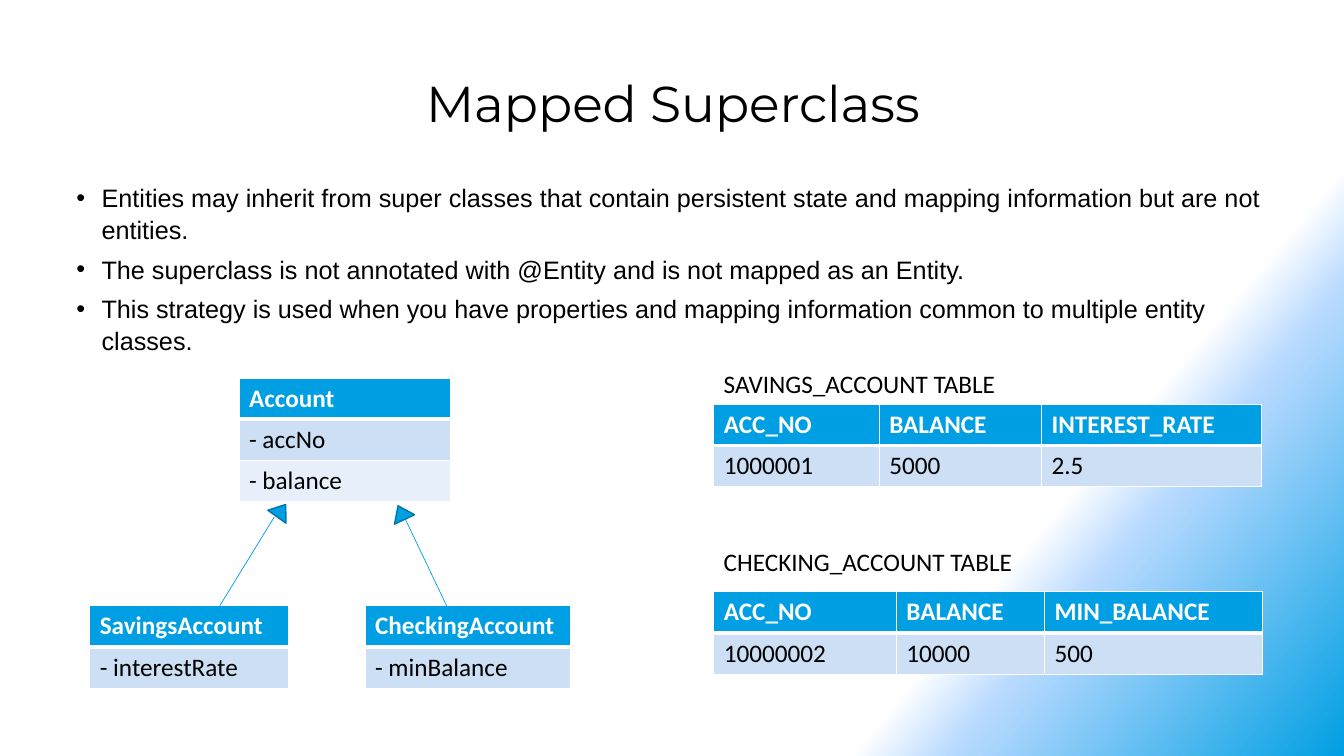
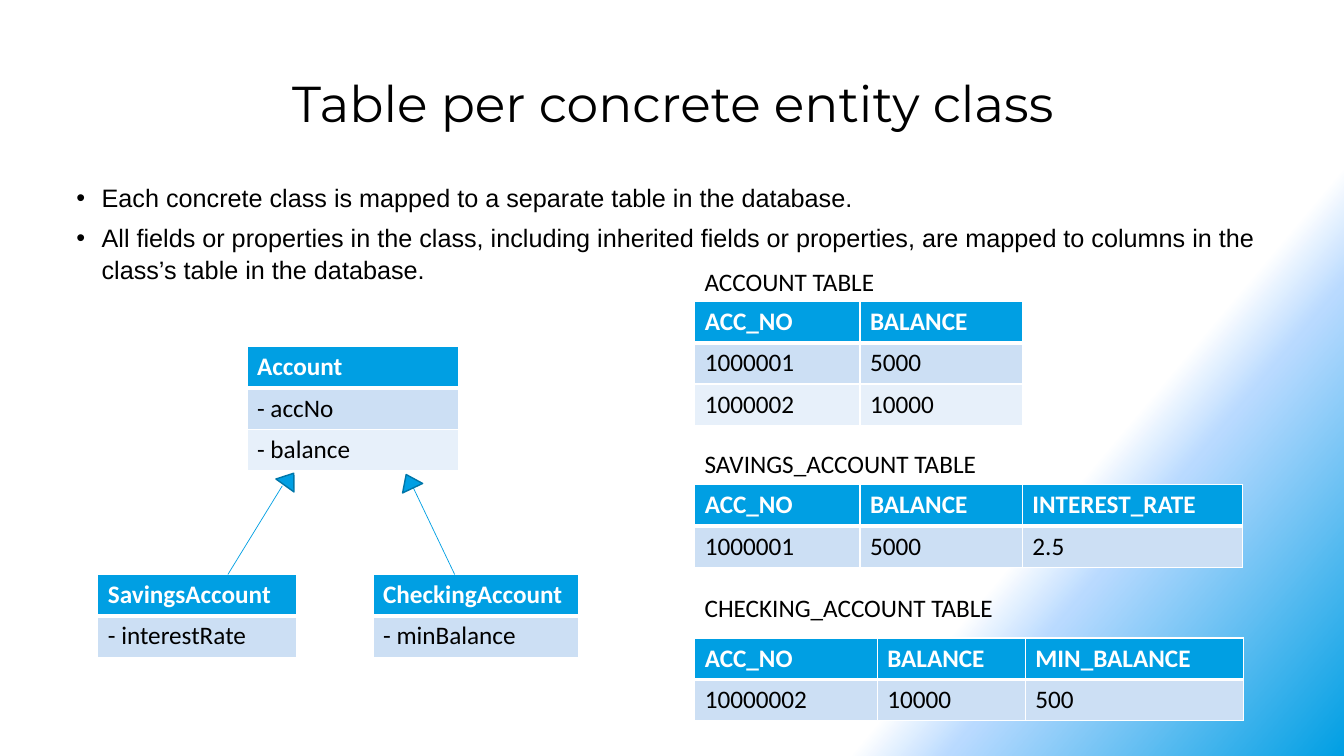
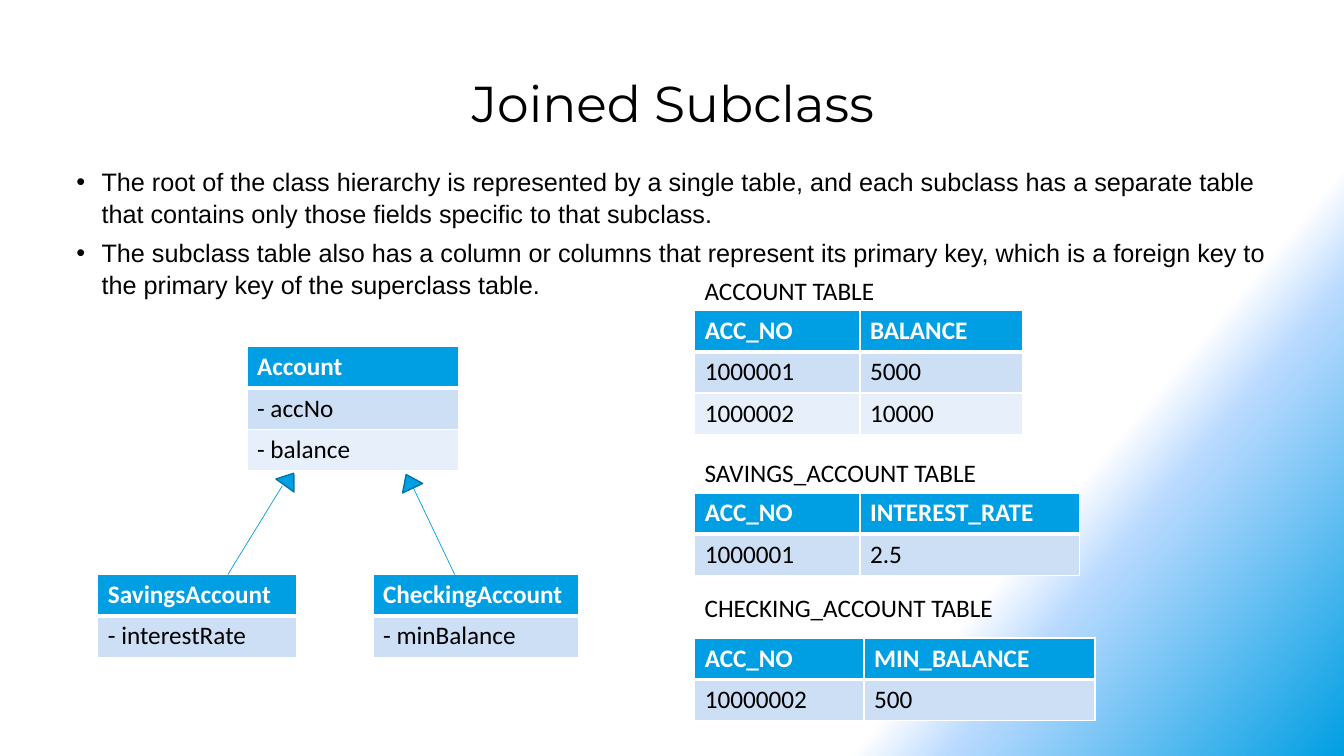
"""Builds three slides on entity inheritance mapping strategies."""
from lxml import etree
from pptx import Presentation
from pptx.dml.color import RGBColor
from pptx.enum.shapes import MSO_CONNECTOR, MSO_SHAPE
from pptx.enum.text import MSO_ANCHOR, MSO_AUTO_SIZE, PP_ALIGN
from pptx.oxml.ns import qn
from pptx.util import Inches, Pt

STRAIGHT, TRIANGLE = MSO_CONNECTOR.STRAIGHT, MSO_SHAPE.ISOSCELES_TRIANGLE
TOP, CENTER = MSO_ANCHOR.TOP, PP_ALIGN.CENTER
NO_FIT, GROW = MSO_AUTO_SIZE.NONE, MSO_AUTO_SIZE.SHAPE_TO_FIT_TEXT

COLORS = {
    "white": "FFFFFF", "black": "000000", "accent": "009FE3",
    "outline": "0076A8", "glow": "B9DAFF", "band": "CCDFF4", "pale": "E7F0FA",
}
BACKGROUND_STOPS = [(75, "white", 100), (80, "glow", 50), (100, "accent", 100)]
BACKGROUND_ANGLE = 40
ROW_HEIGHT = 0.41
CAPTION_SIZE = (3.93, 0.4)

CLASSES = [
    (1.48, 0, 2.1, ["Account", "- accNo", "- balance"]),
    (2.73, 2.26, 2.04, ["CheckingAccount", "- minBalance"]),
    (0, 2.26, 1.97, ["SavingsAccount", "- interestRate"]),
]
INHERITANCE = [
    ((1.29, 2.26), (1.83, 1.38), (1.79, 1.24), 215.6),
    ((3.54, 2.26), (3.13, 1.4), (2.98, 1.26), 154.7),
]

ACCOUNT = ("ACCOUNT TABLE", [1.64, 1.61],
           [["ACC_NO", "BALANCE"], ["1000001", "5000"], ["1000002", "10000"]])
SAVINGS = ("SAVINGS_ACCOUNT TABLE", [1.64, 1.61, 2.18],
           [["ACC_NO", "BALANCE", "INTEREST_RATE"], ["1000001", "5000", "2.5"]])
CHECKING = ("CHECKING_ACCOUNT TABLE", [1.81, 1.47, 2.16],
            [["ACC_NO", "BALANCE", "MIN_BALANCE"], ["10000002", "10000", "500"]])
SAVINGS_JOINED = ("SAVINGS_ACCOUNT TABLE", [1.64, 2.18],
                  [["ACC_NO", "INTEREST_RATE"], ["1000001", "2.5"]])
CHECKING_JOINED = ("CHECKING_ACCOUNT TABLE", [1.68, 2.29],
                   [["ACC_NO", "MIN_BALANCE"], ["10000002", "500"]])

SLIDES = [
    {
        "title": "Mapped Superclass",
        "points_top": 1.75,
        "points": [
            "Entities may inherit from super classes that contain persistent state "
            "and mapping information but are not entities.",
            "The superclass is not annotated with @Entity and is not mapped as an Entity.",
            "This strategy is used when you have properties and mapping information "
            "common to multiple entity classes.",
        ],
        "diagram": (0.89, 3.75),
        "tables_left": 7.08,
        "tables": [(3.6, 4.01, SAVINGS), (5.37, 5.87, CHECKING)],
    },
    {
        "title": "Table per concrete entity class",
        "points_top": 1.75,
        "points": [
            "Each concrete class is mapped to a separate table in the database.",
            "All fields or properties in the class, including inherited fields or "
            "properties, are mapped to columns in the class’s table in the database.",
        ],
        "diagram": (0.97, 3.44),
        "tables_left": 6.89,
        "tables": [(2.59, 2.99, ACCOUNT), (4.4, 4.81, SAVINGS), (5.83, 6.33, CHECKING)],
    },
    {
        "title": "Joined Subclass",
        "points_top": 1.59,
        "points": [
            "The root of the class hierarchy is represented by a single table, and each "
            "subclass has a separate table that contains only those fields specific to "
            "that subclass.",
            "The subclass table also has a column or columns that represent its primary "
            "key, which is a foreign key to the primary key of the superclass table.",
        ],
        "diagram": (0.97, 3.44),
        "tables_left": 6.89,
        "tables": [(2.68, 3.08, ACCOUNT), (4.49, 4.89, SAVINGS_JOINED),
                   (5.83, 6.33, CHECKING_JOINED)],
    },
]


def rgb(name):
    return RGBColor.from_string(COLORS[name])


def sub(parent, tag, **attributes):
    return etree.SubElement(parent, qn(tag), attributes)


def style(paragraph, font_name, size, color="black", bold=False):
    for run in paragraph.runs:
        run.font.name = font_name
        run.font.size = Pt(size)
        run.font.bold = bold
        run.font.color.rgb = rgb(color)


def set_background(master):
    master.background.fill.gradient()
    gradient = master.element.find(".//" + qn("a:gradFill"))
    stops = gradient.find(qn("a:gsLst"))
    for stop in list(stops):
        stops.remove(stop)
    for position, color, opacity in BACKGROUND_STOPS:
        stop = sub(stops, "a:gs", pos=str(position * 1000))
        tone = sub(stop, "a:srgbClr", val=COLORS[color])
        if opacity < 100:
            sub(tone, "a:alpha", val=str(opacity * 1000))
    direction = gradient.find(qn("a:lin"))
    direction.set("ang", str(BACKGROUND_ANGLE * 60000))
    direction.set("scaled", "0")


def set_title(slide, text):
    title = slide.shapes.title
    title.left, title.top = Inches(0.66), Inches(0.67)
    title.width, title.height = Inches(12.03), Inches(1.22)
    frame = title.text_frame
    frame.text = text
    frame.vertical_anchor = TOP
    frame.auto_size = NO_FIT
    frame.paragraphs[0].alignment = CENTER
    style(frame.paragraphs[0], "Montserrat", 36)


def add_points(slide, top, points):
    box = slide.shapes.add_textbox(Inches(0.66), Inches(top), Inches(12.03), Inches(6.86 - top))
    frame = box.text_frame
    frame.word_wrap = True
    frame.text = "\n".join(points)
    for paragraph in frame.paragraphs:
        paragraph.space_after = Pt(6)
        paragraph.line_spacing = 1.04
        style(paragraph, "Arial", 18)
        properties = paragraph._p.get_or_add_pPr()
        properties.set("marL", str(Inches(0.25)))
        properties.set("indent", str(Inches(-0.25)))
        sub(properties, "a:buFont", typeface="Arial")
        sub(properties, "a:buChar", char="•")


def set_borders(cell, row):
    properties = cell._tc.get_or_add_tcPr()
    widths = {"L": 1, "R": 1, "T": 3 if row == 1 else 1, "B": 3 if row == 0 else 1}
    for index, (side, width) in enumerate(widths.items()):
        border = etree.Element(qn(f"a:ln{side}"), w=str(Pt(width)))
        sub(sub(border, "a:solidFill"), "a:srgbClr", val=COLORS["white"])
        properties.insert(index, border)


def add_grid(slide, left, top, widths, rows):
    grid = slide.shapes.add_table(
        len(rows), len(widths), Inches(left), Inches(top),
        Inches(sum(widths)), Inches(ROW_HEIGHT * len(rows))).table
    for column, width in zip(grid.columns, widths):
        column.width = Inches(width)
    for r, values in enumerate(rows):
        grid.rows[r].height = Inches(ROW_HEIGHT)
        for c, value in enumerate(values):
            cell = grid.cell(r, c)
            cell.text = value
            cell.fill.solid()
            cell.fill.fore_color.rgb = rgb(["accent", "band", "pale"][r])
            style(cell.text_frame.paragraphs[0], "Calibri", 18,
                  "black" if r else "white", bold=r == 0)
            set_borders(cell, r)


def add_diagram(slide, left, top):
    for x, y, width, members in CLASSES:
        add_grid(slide, left + x, top + y, [width], [[member] for member in members])
    for (x1, y1), (x2, y2), (head_x, head_y), angle in INHERITANCE:
        link = slide.shapes.add_connector(
            STRAIGHT, Inches(left + x1), Inches(top + y1), Inches(left + x2), Inches(top + y2))
        link.line.color.rgb = rgb("accent")
        link.line.width = Pt(0.5)
        sub(link.element.spPr, "a:effectLst")
        head = slide.shapes.add_shape(
            TRIANGLE, Inches(left + head_x), Inches(top + head_y), Inches(0.22), Inches(0.15))
        head.rotation = angle
        head.element.spPr.find(qn("a:xfrm")).set("flipV", "1")
        head.shadow.inherit = False
        head.fill.solid()
        head.fill.fore_color.rgb = rgb("accent")
        head.line.color.rgb = rgb("outline")
        head.line.width = Pt(1)


def add_caption(slide, left, top, text):
    width, height = CAPTION_SIZE
    box = slide.shapes.add_textbox(Inches(left), Inches(top), Inches(width), Inches(height))
    frame = box.text_frame
    frame.word_wrap = True
    frame.auto_size = GROW
    frame.text = text
    style(frame.paragraphs[0], "Calibri", 18)


def main():
    deck = Presentation()
    deck.slide_width, deck.slide_height = Inches(13.33), Inches(7.5)
    set_background(deck.slide_master)
    for content in SLIDES:
        slide = deck.slides.add_slide(deck.slide_layouts[5])
        set_title(slide, content["title"])
        add_points(slide, content["points_top"], content["points"])
        add_diagram(slide, *content["diagram"])
        left = content["tables_left"]
        for caption_top, grid_top, (caption, widths, rows) in content["tables"]:
            add_caption(slide, left, caption_top, caption)
            add_grid(slide, left, grid_top, widths, rows)
    deck.save("out.pptx")


main()
